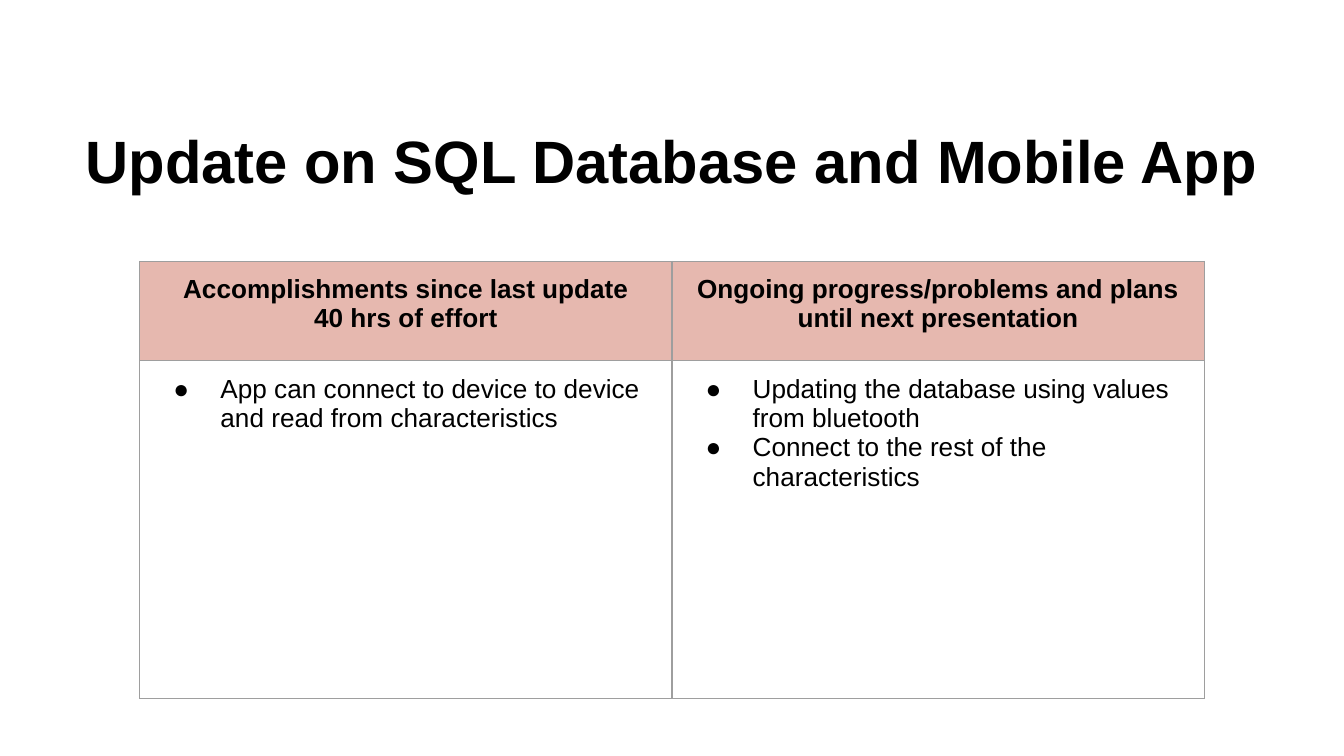
"""Build the project update slide with its two-column status table."""
import lxml.etree
import pptx
import pptx.dml.color
import pptx.enum.text
import pptx.oxml.ns
import pptx.util

TITLE = "Update on SQL Database and Mobile App"
HEADS = [
    ["Accomplishments since last update", "40 hrs of effort"],
    ["Ongoing progress/problems and plans until next presentation"],
]
LISTS = [
    ["App can connect to device to device and read from characteristics"],
    ["Updating the database using values from bluetooth",
     "Connect to the rest of the characteristics"],
]

BLACK = pptx.dml.color.RGBColor(0x00, 0x00, 0x00)
PINK = pptx.dml.color.RGBColor(0xE6, 0xB8, 0xAF)
GREY = pptx.dml.color.RGBColor(0x9E, 0x9E, 0x9E)
FONT = "Arial"
SCALE = 4572
WIDE, HIGH = 2000, 1125
LEFT, TOP, COL = 208, 389, 792
ROWS = [148, 502]
PAD = 20
CENTER = pptx.enum.text.PP_ALIGN.CENTER
qn = pptx.oxml.ns.qn


def px(count):
    """Turn px into EMU."""
    return pptx.util.Emu(count * SCALE)


def add_node(parent, tag, **attrs):
    """Append a drawing element."""
    return lxml.etree.SubElement(parent, qn(tag), attrs)


def add_text(para, text, size, bold):
    """Add one styled run."""
    run = para.add_run()
    run.text = text
    run.font.name = FONT
    run.font.size = pptx.util.Pt(size)
    run.font.bold = bold
    run.font.color.rgb = BLACK


def add_bullet(para):
    """Give a paragraph a hanging round bullet."""
    props = para._p.get_or_add_pPr()
    props.set("marL", str(px(100)))
    props.set("indent", str(px(-70)))
    color = add_node(props, "a:buClr")
    add_node(color, "a:srgbClr", val=str(BLACK))
    add_node(props, "a:buFont", typeface=FONT)
    add_node(props, "a:buChar", char="●")


def add_border(cell):
    """Draw a thin line on all four sides."""
    props = cell._tc.get_or_add_tcPr()
    for side in "LRTB":
        line = add_node(props, f"a:ln{side}", w=str(pptx.util.Pt(0.75)))
        fill = add_node(line, "a:solidFill")
        add_node(fill, "a:srgbClr", val=str(GREY))


def set_pad(box):
    """Set equal margins on a cell or text frame."""
    box.margin_left = box.margin_right = px(PAD)
    box.margin_top = box.margin_bottom = px(PAD)


def fill_cell(cell, lines, head):
    """Format a cell and write its lines."""
    set_pad(cell)
    add_border(cell)
    if head:
        cell.fill.solid()
        cell.fill.fore_color.rgb = PINK
    else:
        cell.fill.background()
    frame = cell.text_frame
    for num, text in enumerate(lines):
        para = frame.add_paragraph() if num else frame.paragraphs[0]
        if head:
            para.alignment = CENTER
        else:
            add_bullet(para)
        add_text(para, text, 14, head)


def add_title(slide):
    """Place and write the title."""
    title = slide.shapes.title
    title.left, title.top, title.width, title.height = map(
        px, (100, 172, 1800, 132))
    frame = title.text_frame
    frame.word_wrap = True
    frame.auto_size = pptx.enum.text.MSO_AUTO_SIZE.NONE
    frame.vertical_anchor = pptx.enum.text.MSO_ANCHOR.MIDDLE
    set_pad(frame)
    para = frame.paragraphs[0]
    para.alignment = CENTER
    add_text(para, TITLE, 32, True)


def add_grid(slide):
    """Build the status table."""
    frame = slide.shapes.add_table(
        len(ROWS), len(HEADS), px(LEFT), px(TOP),
        px(COL * len(HEADS)), px(sum(ROWS)))
    table = frame.table
    table.first_row = table.horz_banding = False
    for col in table.columns:
        col.width = px(COL)
    for row, height in zip(table.rows, ROWS):
        row.height = px(height)
    for r, cells in enumerate((HEADS, LISTS)):
        for c, lines in enumerate(cells):
            fill_cell(table.cell(r, c), lines, r == 0)


def main():
    """Make and save the deck."""
    deck = pptx.Presentation()
    deck.slide_width, deck.slide_height = px(WIDE), px(HIGH)
    slide = deck.slides.add_slide(deck.slide_layouts[5])
    add_title(slide)
    add_grid(slide)
    deck.save("out.pptx")


if __name__ == "__main__":
    main()
